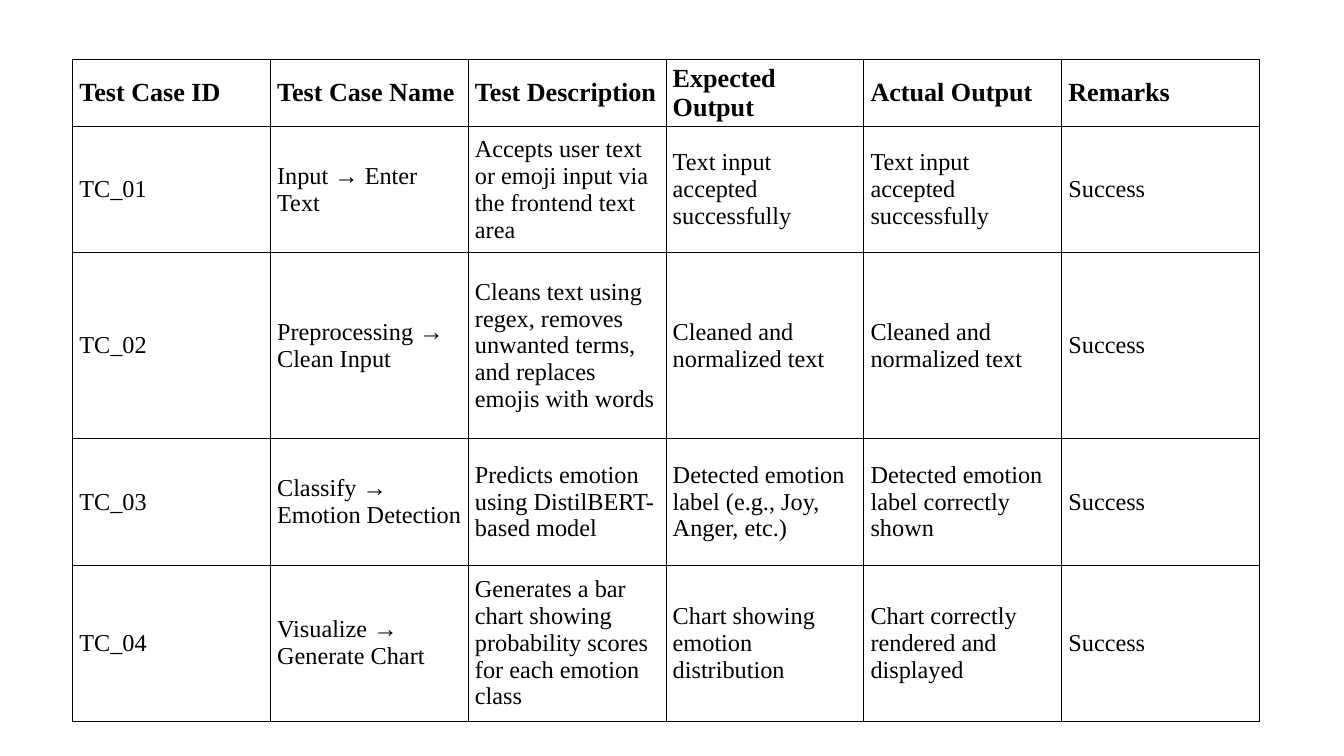
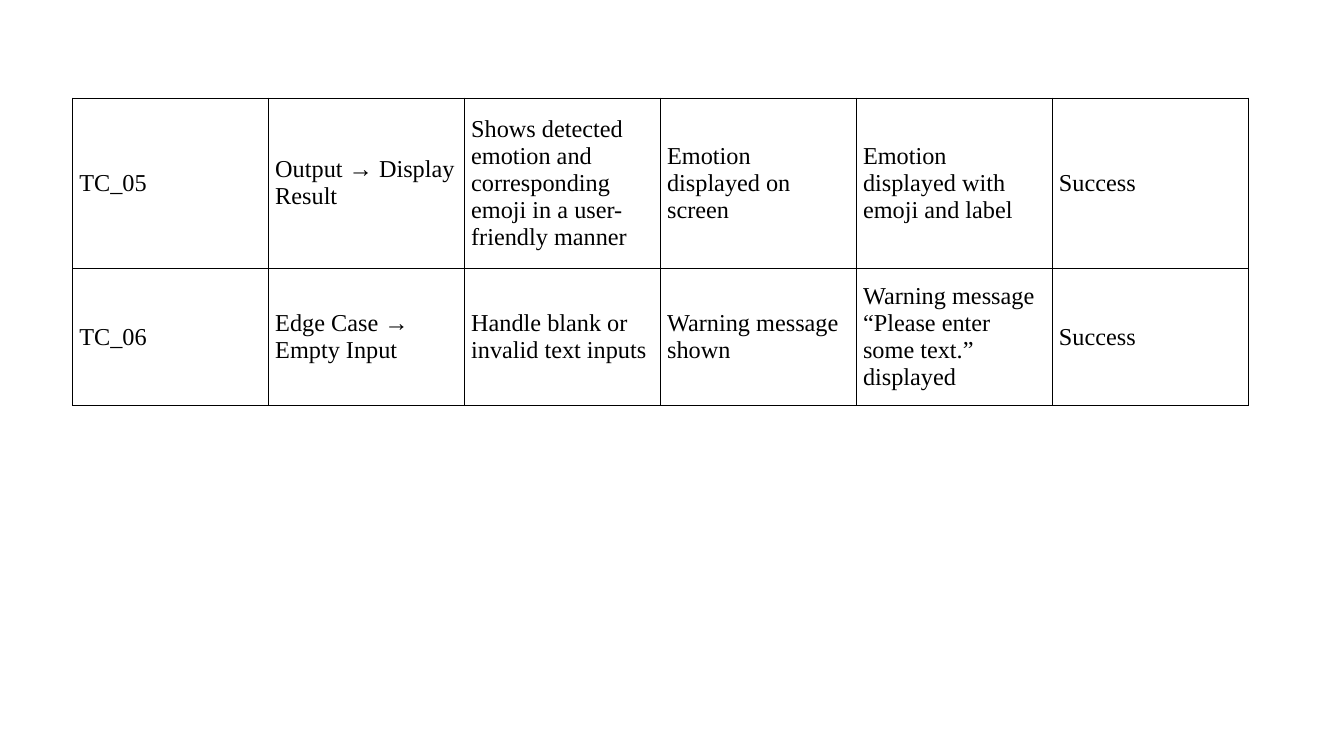
from dataclasses import dataclass

from lxml import etree
from pptx import Presentation
from pptx.dml.color import RGBColor
from pptx.enum.text import MSO_ANCHOR
from pptx.oxml.ns import qn
from pptx.slide import Slide
from pptx.util import Emu, Inches, Pt

MIDDLE = MSO_ANCHOR.MIDDLE
SLIDE_WIDTH = Inches(20)
SLIDE_HEIGHT = Inches(11.25)
COLORS = {"ink": "000000", "paper": "FFFFFF"}
FONT = "Times New Roman"
HEADING_SIZE = Pt(28)
BODY_SIZE = Pt(26)
BORDER_WIDTH = Pt(1)
CELL_PADDING = Inches(0.07)
LEFT_PERCENT = 5.4
BORDER_SIDES = ("a:lnL", "a:lnR", "a:lnT", "a:lnB")
HEADINGS = (
    "Test Case ID", "Test Case Name", "Test Description",
    "Expected Output", "Actual Output", "Remarks",
)


@dataclass(frozen=True)
class TestCase:
    number: int
    name: str
    description: str
    expected: str
    actual: str
    remarks: str = "Success"

    def texts(self) -> tuple[str, ...]:
        return (f"TC_{self.number:02}", self.name, self.description,
                self.expected, self.actual, self.remarks)


@dataclass(frozen=True)
class TestPage:
    top_percent: float
    column_percent: float
    row_percents: tuple[float, ...]
    cases: tuple[TestCase, ...]
    has_headings: bool = False


PAGES = (
    TestPage(7.82, 14.72, (8.8, 16.71, 24.62, 16.71, 20.62), (
        TestCase(1, "Input → Enter Text",
                 "Accepts user text or emoji input via the frontend text area",
                 "Text input accepted successfully",
                 "Text input accepted successfully"),
        TestCase(2, "Preprocessing → Clean Input",
                 "Cleans text using regex, removes unwanted terms, "
                 "and replaces emojis with words",
                 "Cleaned and normalized text",
                 "Cleaned and normalized text"),
        TestCase(3, "Classify → Emotion Detection",
                 "Predicts emotion using DistilBERT-based model",
                 "Detected emotion label (e.g., Joy, Anger, etc.)",
                 "Detected emotion label correctly shown"),
        TestCase(4, "Visualize → Generate Chart",
                 "Generates a bar chart showing probability scores "
                 "for each emotion class",
                 "Chart showing emotion distribution",
                 "Chart correctly rendered and displayed"),
    ), has_headings=True),
    TestPage(12.98, 14.58, (22.49, 18.22), (
        TestCase(5, "Output → Display Result",
                 "Shows detected emotion and corresponding emoji "
                 "in a user-friendly manner",
                 "Emotion displayed on screen",
                 "Emotion displayed with emoji and label"),
        TestCase(6, "Edge Case → Empty Input",
                 "Handle blank or invalid text inputs",
                 "Warning message shown",
                 "Warning message “Please enter some text.” displayed"),
    )),
)


def across(percent: float) -> Emu:
    return Emu(round(SLIDE_WIDTH * percent / 100))


def down(percent: float) -> Emu:
    return Emu(round(SLIDE_HEIGHT * percent / 100))


def add_borders(cell) -> None:
    properties = cell._tc.get_or_add_tcPr()
    for side in BORDER_SIDES:
        line = etree.SubElement(properties, qn(side), w=str(BORDER_WIDTH))
        fill = etree.SubElement(line, qn("a:solidFill"))
        etree.SubElement(fill, qn("a:srgbClr"), val=COLORS["ink"])


def fill_cell(cell, text: str, is_heading: bool) -> None:
    add_borders(cell)
    cell.fill.solid()
    cell.fill.fore_color.rgb = RGBColor.from_string(COLORS["paper"])
    cell.vertical_anchor = MIDDLE
    cell.margin_top = cell.margin_bottom = CELL_PADDING
    run = cell.text_frame.paragraphs[0].add_run()
    run.text = text
    run.font.name = FONT
    run.font.size = HEADING_SIZE if is_heading else BODY_SIZE
    run.font.bold = is_heading
    run.font.color.rgb = RGBColor.from_string(COLORS["ink"])


def draw_page(slide: Slide, page: TestPage) -> None:
    lines = [case.texts() for case in page.cases]
    if page.has_headings:
        lines.insert(0, HEADINGS)
    table = slide.shapes.add_table(
        len(lines), len(HEADINGS), across(LEFT_PERCENT), down(page.top_percent),
        across(page.column_percent * len(HEADINGS)), down(sum(page.row_percents)),
    ).table
    table.first_row = page.has_headings
    table.horz_banding = False
    for column in table.columns:
        column.width = across(page.column_percent)
    for row, percent, texts in zip(table.rows, page.row_percents, lines):
        row.height = down(percent)
        for cell, text in zip(row.cells, texts):
            fill_cell(cell, text, texts is HEADINGS)


def main() -> None:
    presentation = Presentation()
    presentation.slide_width = SLIDE_WIDTH
    presentation.slide_height = SLIDE_HEIGHT
    blank = presentation.slide_layouts[6]
    for page in PAGES:
        draw_page(presentation.slides.add_slide(blank), page)
    presentation.save("out.pptx")


if __name__ == "__main__":
    main()
